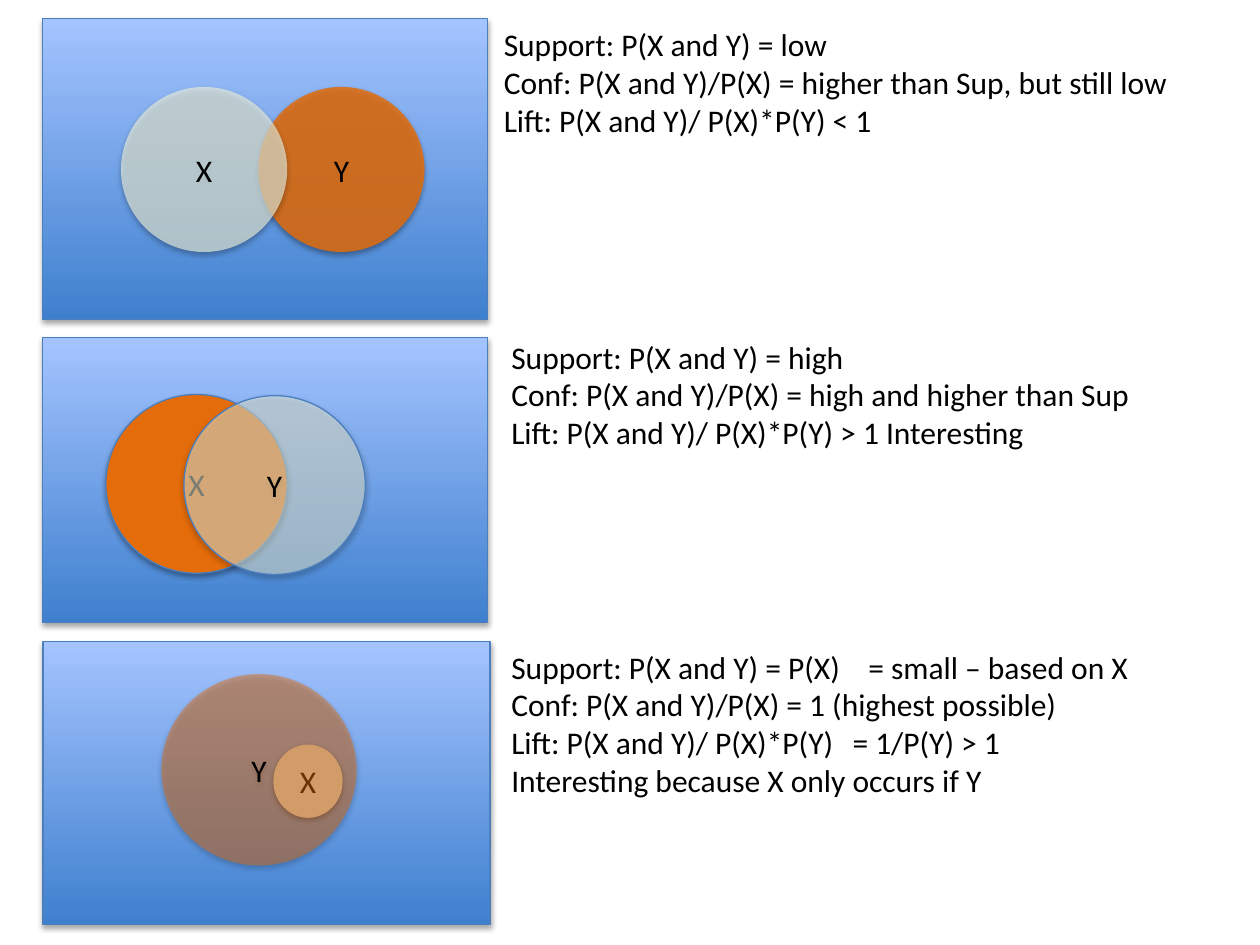
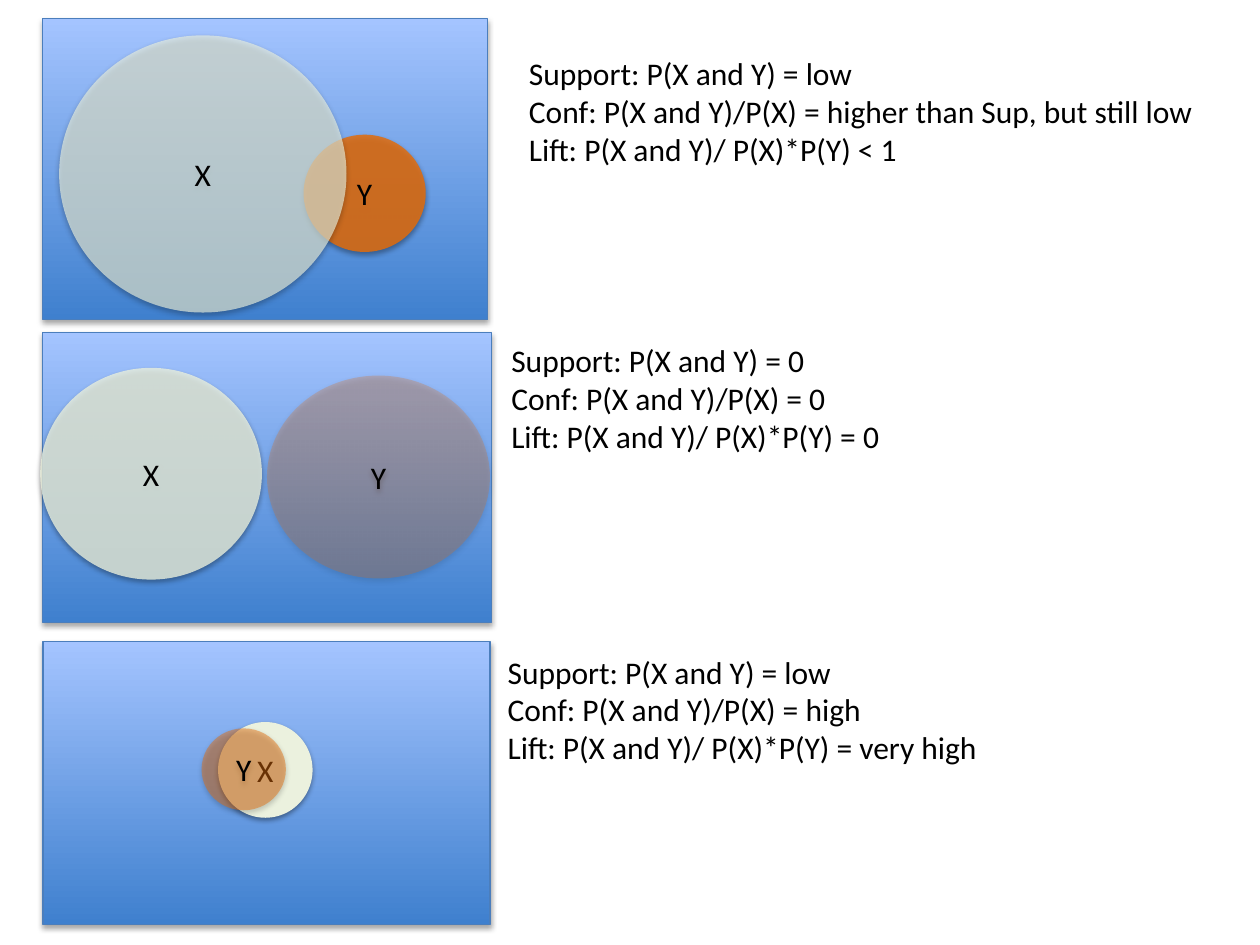
from dataclasses import dataclass

from lxml.etree import SubElement
from pptx import Presentation
from pptx.dml.color import RGBColor
from pptx.enum.shapes import MSO_SHAPE
from pptx.enum.text import MSO_ANCHOR, MSO_AUTO_SIZE, PP_ALIGN
from pptx.oxml.ns import qn
from pptx.shapes.autoshape import Shape
from pptx.slide import Slide
from pptx.text.text import _Paragraph
from pptx.util import Pt

PANEL_BOTTOM = RGBColor(0x3F, 0x80, 0xCE)
PANEL_TOP = RGBColor(0xA4, 0xC4, 0xFF)
OUTLINE = RGBColor(0x4B, 0x7E, 0xBC)
ORANGE = RGBColor(0xE4, 0x6C, 0x0A)
PALE_GREEN = RGBColor(0xEB, 0xF1, 0xDE)
BLACK = RGBColor(0x00, 0x00, 0x00)

FONT_NAME = "Calibri"
FONT_SIZE = 18
PANEL_LEFT = 24.5
NOTE_WIDTH = 422.6
LINE_HEIGHT = 21.6
MEASURES = (
    "Support: P(X and Y)",
    "Conf: P(X and Y)/P(X)",
    "Lift: P(X and Y)/ P(X)*P(Y)",
    "Interesting because",
)


@dataclass(frozen=True)
class Circle:
    label: str
    left: float
    top: float
    width: float
    height: float
    color: RGBColor
    opacity: int = 100
    outlined: bool = False


@dataclass(frozen=True)
class Panel:
    top: float
    width: float
    height: float


@dataclass(frozen=True)
class Case:
    """One Venn diagram; each finding completes the measure of the same rank."""

    panel: Panel
    circles: tuple[Circle, ...]
    note_left: float
    note_top: float
    findings: tuple[str, ...]
    tab_stops: tuple[float, ...] = ()


TOP_PANEL = Panel(10.8, 254.2, 172)
BOTTOM_PANEL = Panel(366.5, 255.6, 162)

OVERLAP_CASES = (
    Case(
        TOP_PANEL,
        (
            Circle("Y", 147.6, 49.7, 95, 94.3, ORANGE, 84),
            Circle("X", 69.1, 49.7, 95, 94.3, PALE_GREEN, 65),
        ),
        280.8, 10.8,
        (" = low", " = higher than Sup, but still low", " < 1"),
    ),
    Case(
        Panel(193, 254.2, 162.7),
        (
            Circle("X", 60.5, 225.4, 103.7, 102.2, ORANGE, outlined=True),
            Circle("Y", 105.1, 226.1, 103.7, 102.2, PALE_GREEN, 52, outlined=True),
        ),
        285.1, 189.4,
        (" = high", " = high and higher than Sup", " > 1 Interesting"),
    ),
    Case(
        BOTTOM_PANEL,
        (
            Circle("X", 156.2, 425.5, 39.6, 41.8, PALE_GREEN),
            Circle("Y", 92.2, 385.2, 111.6, 109.4, ORANGE, 46),
        ),
        285.1, 366.5,
        (
            " = P(X)\t= small – based on X",
            " = 1 (highest possible)",
            "\t= 1/P(Y) > 1",
            " X only occurs if Y",
        ),
        (195, 204),
    ),
)

SIZE_CASES = (
    Case(
        TOP_PANEL,
        (
            Circle("Y", 173.5, 77, 69.8, 67, ORANGE, 84),
            Circle("X", 33.8, 20.2, 164.2, 158.4, PALE_GREEN, 65),
        ),
        295.2, 27.4,
        (" = low", " = higher than Sup, but still low", " < 1"),
    ),
    Case(
        Panel(190, 256.3, 165.6),
        (
            Circle("X", 23, 210.2, 126.7, 121, PALE_GREEN, 79),
            Circle("Y", 152.6, 214.6, 127.4, 115.9, ORANGE, 25),
        ),
        285.1, 191.5,
        (" = 0", " = 0", " = 0"),
    ),
    Case(
        BOTTOM_PANEL,
        (
            Circle("X", 124.6, 412.6, 54, 54.7, PALE_GREEN),
            Circle("Y", 115.2, 416.2, 48.2, 46.8, ORANGE, 46),
        ),
        283, 369.4,
        (" = low", " = high", " = very high"),
    ),
)


def set_font(para: _Paragraph) -> None:
    para.font.name = FONT_NAME
    para.font.size = Pt(FONT_SIZE)
    para.font.color.rgb = BLACK


def set_outline(shape: Shape, outlined: bool) -> None:
    if outlined:
        shape.line.color.rgb = OUTLINE
        shape.line.width = Pt(0.75)
    else:
        shape.line.fill.background()


def add_shadow(shape: Shape, opacity: int, distance: float) -> None:
    shape.shadow.inherit = False
    effects = shape.element.spPr.find(qn("a:effectLst"))
    shadow = SubElement(
        effects, qn("a:outerShdw"), blurRad=str(Pt(3.1)), dist=str(Pt(distance)),
        dir="5400000", rotWithShape="0",
    )
    color = SubElement(shadow, qn("a:srgbClr"), val=str(BLACK))
    SubElement(color, qn("a:alpha"), val=str(opacity * 1000))


def draw_panel(shapes, panel: Panel) -> None:
    shape = shapes.add_shape(
        MSO_SHAPE.RECTANGLE,
        Pt(PANEL_LEFT), Pt(panel.top), Pt(panel.width), Pt(panel.height),
    )
    shape.fill.gradient()
    shape.fill.gradient_angle = 90
    for stop, color in zip(shape.fill.gradient_stops, (PANEL_BOTTOM, PANEL_TOP)):
        stop.color.rgb = color
    set_outline(shape, True)
    add_shadow(shape, 35, 1.8)


def draw_circle(shapes, circle: Circle) -> None:
    shape = shapes.add_shape(
        MSO_SHAPE.OVAL,
        Pt(circle.left), Pt(circle.top), Pt(circle.width), Pt(circle.height),
    )
    shape.fill.solid()
    shape.fill.fore_color.rgb = circle.color
    if circle.opacity < 100:
        color = shape.element.spPr.find(f"{qn('a:solidFill')}/{qn('a:srgbClr')}")
        SubElement(color, qn("a:alpha"), val=str(circle.opacity * 1000))
    set_outline(shape, circle.outlined)
    if circle.outlined:
        add_shadow(shape, 35, 1.8)
    else:
        add_shadow(shape, 38, 1.6)
    shape.text_frame.vertical_anchor = MSO_ANCHOR.MIDDLE
    para = shape.text_frame.paragraphs[0]
    para.text = circle.label
    para.alignment = PP_ALIGN.CENTER
    set_font(para)


def add_tab_stop(para: _Paragraph, position: float) -> None:
    properties = para._p.get_or_add_pPr()
    tabs = SubElement(properties, qn("a:tabLst"))
    SubElement(tabs, qn("a:tab"), pos=str(Pt(position)), algn="l")


def draw_note(page: Slide, case: Case) -> None:
    box = page.shapes.add_textbox(
        Pt(case.note_left), Pt(case.note_top),
        Pt(NOTE_WIDTH), Pt(LINE_HEIGHT * len(case.findings) + 8),
    )
    frame = box.text_frame
    frame.word_wrap = True
    frame.auto_size = MSO_AUTO_SIZE.SHAPE_TO_FIT_TEXT
    for index, (measure, finding) in enumerate(zip(MEASURES, case.findings)):
        para = frame.add_paragraph() if index else frame.paragraphs[0]
        para.text = measure + finding
        if "\t" in finding:
            add_tab_stop(para, case.tab_stops[0 if finding.startswith("\t") else 1])
        set_font(para)


def draw_case(page: Slide, case: Case) -> None:
    diagram = page.shapes.add_group_shape()
    draw_panel(diagram.shapes, case.panel)
    for circle in case.circles:
        draw_circle(diagram.shapes, circle)
    draw_note(page, case)


def main() -> None:
    deck = Presentation()
    deck.slide_width = Pt(720)
    deck.slide_height = Pt(540)
    blank = deck.slide_layouts[6]
    for cases in (OVERLAP_CASES, SIZE_CASES):
        page = deck.slides.add_slide(blank)
        for case in cases:
            draw_case(page, case)
    deck.save("out.pptx")


if __name__ == "__main__":
    main()
